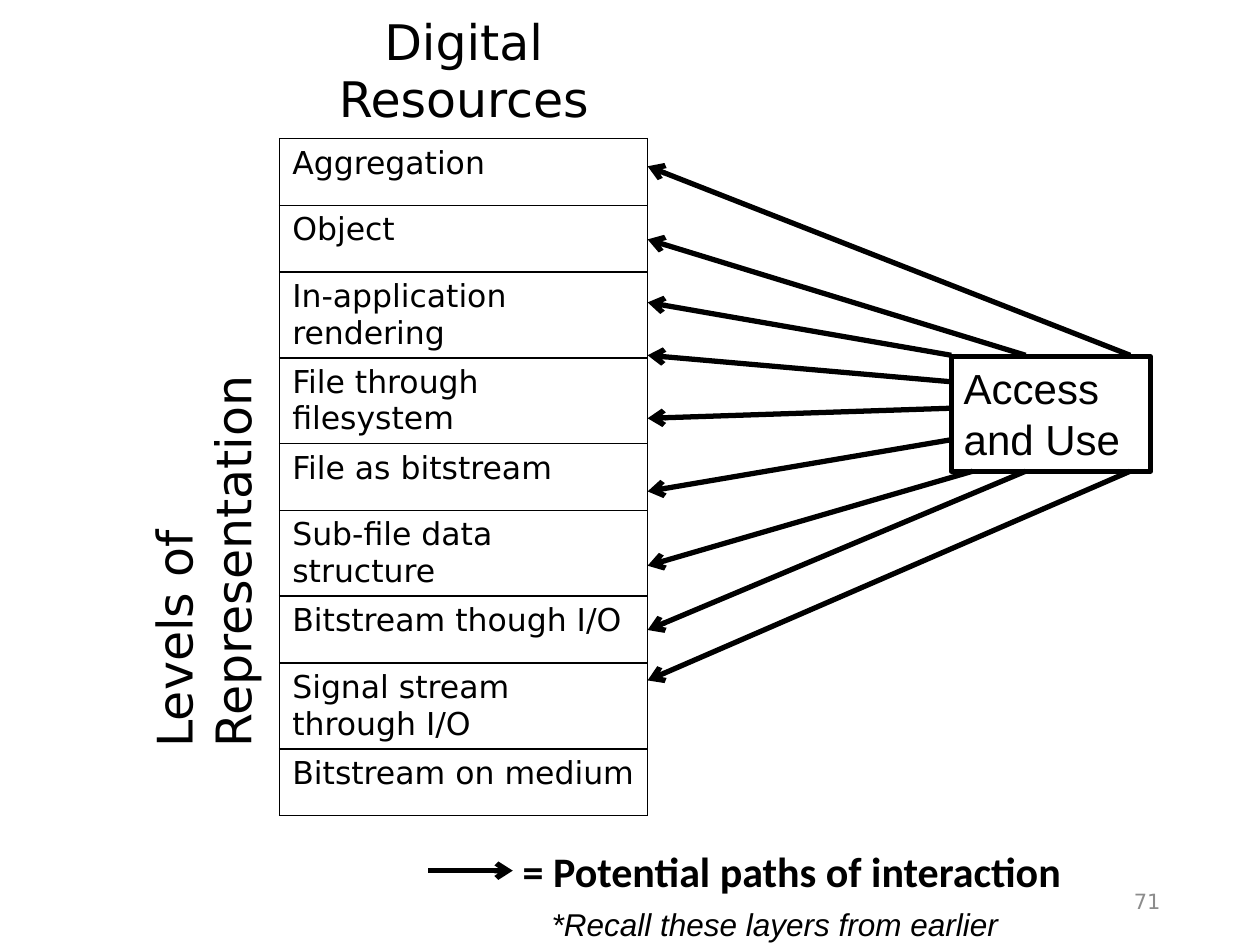
from lxml.etree import SubElement
from pptx import Presentation
from pptx.dml.color import RGBColor
from pptx.enum.shapes import MSO_CONNECTOR as Connector, MSO_SHAPE as Shape
from pptx.enum.text import MSO_ANCHOR as Anchor, MSO_AUTO_SIZE as AutoSize, PP_ALIGN as Align
from pptx.oxml import parse_xml
from pptx.oxml.ns import nsdecls, qn
from pptx.util import Inches, Pt

COLORS = {"ink": "000000", "paper": "FFFFFF", "number": "8C8C8C"}

LEVELS = [
    "Aggregation",
    "Object",
    "In-application rendering",
    "File through filesystem",
    "File as bitstream",
    "Sub-file data structure",
    "Bitstream though I/O",
    "Signal stream through I/O",
    "Bitstream on medium",
]
TABLE_LEFT, TABLE_WIDTH = 2.22, 2.92
TABLE_RIGHT = TABLE_LEFT + TABLE_WIDTH
HEADER_HEIGHT, ROW_HEIGHT, SHORT_ROW_HEIGHT = 1.03, 0.53, 0.41
SHORT_ROW = 3

ACCESS_TOP, ACCESS_BOTTOM, ACCESS_LEFT = 2.82, 3.74, 7.55
PATHS = [
    (8.97, ACCESS_TOP, 1.32),
    (8.14, ACCESS_TOP, 1.9),
    (ACCESS_LEFT, ACCESS_TOP, 2.4),
    (ACCESS_LEFT, 3.03, 2.82),
    (ACCESS_LEFT, 3.24, 3.32),
    (ACCESS_LEFT, 3.49, 3.9),
    (7.72, ACCESS_BOTTOM, 4.49),
    (8.14, ACCESS_BOTTOM, 5),
    (8.97, ACCESS_BOTTOM, 5.4),
]


def color(name):
    return RGBColor.from_string(COLORS[name])


def write(frame, text, size=18, font="DejaVu Sans", ink="ink",
          bold=False, italic=False, align=Align.LEFT):
    paragraph = frame.paragraphs[0]
    paragraph.alignment = align
    run = paragraph.add_run()
    run.text = text
    run.font.size = Pt(size)
    run.font.name = font
    run.font.bold = bold
    run.font.italic = italic
    run.font.color.rgb = color(ink)


def add_label(slide, text, left, top, width, height, rotation=0,
              wrap=False, grow=True, anchor=Anchor.TOP, **style):
    label = slide.shapes.add_textbox(
        Inches(left), Inches(top), Inches(width), Inches(height))
    label.rotation = rotation
    frame = label.text_frame
    frame.word_wrap = wrap
    frame.auto_size = AutoSize.SHAPE_TO_FIT_TEXT if grow else AutoSize.NONE
    frame.vertical_anchor = anchor
    write(frame, text, **style)


def add_arrow(slide, x1, y1, x2, y2):
    arrow = slide.shapes.add_connector(
        Connector.STRAIGHT, Inches(x1), Inches(y1), Inches(x2), Inches(y2))
    arrow.line.color.rgb = color("ink")
    arrow.line.width = Pt(3)
    SubElement(arrow.line._get_or_add_ln(), qn("a:tailEnd"), type="arrow")
    SubElement(arrow._element.spPr, qn("a:effectLst"))


def set_borders(cell, **sides):
    properties = cell._tc.get_or_add_tcPr()
    for position, side in enumerate("LRTB"):
        border = parse_xml(
            f'<a:ln{side} {nsdecls("a")} w="{Pt(1)}"><a:solidFill>'
            f'<a:srgbClr val="{COLORS[sides.get(side, "ink")]}"/>'
            f'</a:solidFill></a:ln{side}>')
        properties.insert(position, border)


def add_levels_table(slide):
    heights = [HEADER_HEIGHT] + [ROW_HEIGHT] * len(LEVELS)
    heights[SHORT_ROW] = SHORT_ROW_HEIGHT
    table = slide.shapes.add_table(
        len(heights), 1, Inches(TABLE_LEFT), Inches(0.07),
        Inches(TABLE_WIDTH), Inches(sum(heights))).table
    table.first_row = table.horz_banding = False
    for row, height, text in zip(table.rows, heights, ["Digital Resources"] + LEVELS):
        row.height = Inches(height)
        cell = row.cells[0]
        cell.fill.solid()
        cell.fill.fore_color.rgb = color("paper")
        if text in LEVELS:
            write(cell.text_frame, text)
            set_borders(cell)
        else:
            write(cell.text_frame, text, size=28, align=Align.CENTER)
            set_borders(cell, L="paper", R="paper", T="paper")


def add_access_box(slide):
    box = slide.shapes.add_shape(
        Shape.RECTANGLE, Inches(ACCESS_LEFT), Inches(2.83), Inches(1.58), Inches(0.91))
    box.shadow.inherit = False
    box.fill.background()
    box.line.color.rgb = color("ink")
    box.line.width = Pt(3)
    frame = box.text_frame
    frame.word_wrap = True
    frame.auto_size = AutoSize.SHAPE_TO_FIT_TEXT
    frame.vertical_anchor = Anchor.TOP
    write(frame, "Access and Use", size=24, font="Arial")


def main():
    deck = Presentation()
    deck.slide_width, deck.slide_height = Inches(10), Inches(7.5)
    slide = deck.slides.add_slide(deck.slide_layouts[6])

    add_levels_table(slide)
    add_label(slide, "Levels of Representation", -0.68, 3.69, 4.11, 0.57,
              rotation=270, wrap=True, grow=False, size=28)
    add_access_box(slide)
    for start_x, start_y, end_y in PATHS:
        add_arrow(slide, start_x, start_y, TABLE_RIGHT, end_y)

    add_arrow(slide, 3.4, 6.91, 4.07, 6.91)
    add_label(slide, "= Potential paths of interaction", 4.05, 6.66, 4.52, 0.51,
              size=24, font="Calibri", bold=True)
    add_label(slide, "*Recall these layers from earlier", 4.28, 7.13, 3.78, 0.4,
              font="Arial", italic=True)
    add_label(slide, "71", 7.06, 6.95, 2.25, 0.4, wrap=True, grow=False,
              anchor=Anchor.MIDDLE, size=12, ink="number", align=Align.RIGHT)

    deck.save("out.pptx")


if __name__ == "__main__":
    main()
